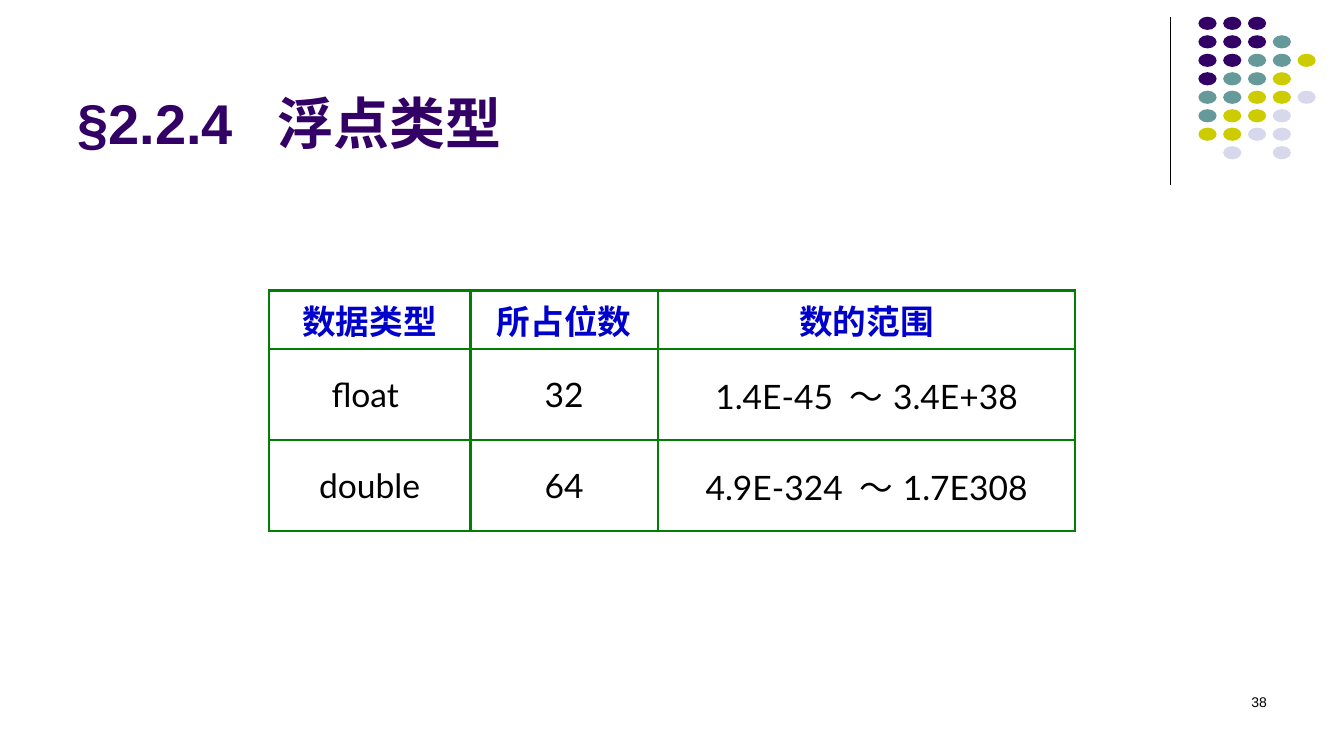
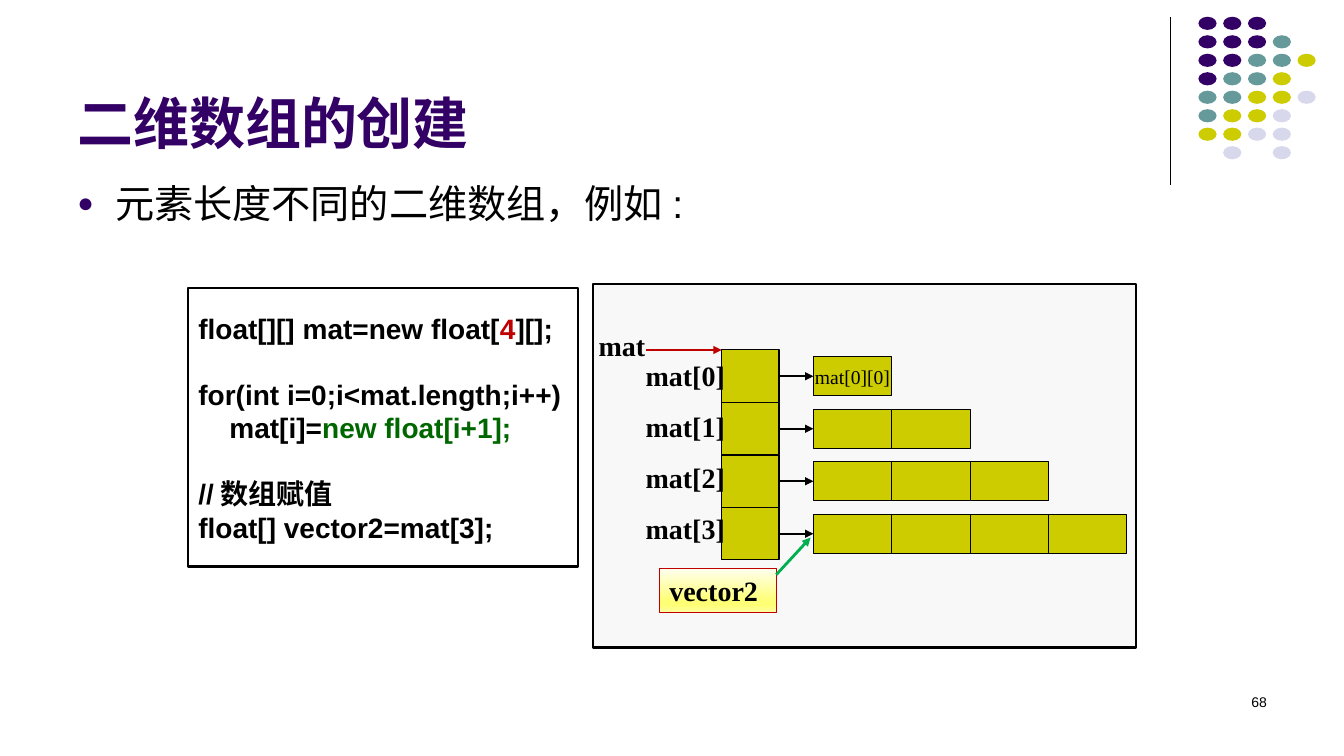
from copy import deepcopy
from dataclasses import dataclass, replace

from lxml.etree import SubElement
from pptx import Presentation
from pptx.dml.color import RGBColor
from pptx.enum.shapes import MSO_CONNECTOR, MSO_SHAPE
from pptx.enum.text import MSO_ANCHOR, MSO_AUTO_SIZE, PP_ALIGN
from pptx.oxml.ns import qn
from pptx.shapes.autoshape import Shape
from pptx.shapes.connector import Connector
from pptx.slide import Slide
from pptx.table import _Cell
from pptx.text.text import TextFrame, _Paragraph, _Run
from pptx.util import Pt

RECTANGLE = MSO_SHAPE.RECTANGLE
OVAL = MSO_SHAPE.OVAL
STRAIGHT = MSO_CONNECTOR.STRAIGHT
MIDDLE, BOTTOM = MSO_ANCHOR.MIDDLE, MSO_ANCHOR.BOTTOM
LEFT, CENTER, RIGHT = PP_ALIGN.LEFT, PP_ALIGN.CENTER, PP_ALIGN.RIGHT
NO_AUTOFIT = MSO_AUTO_SIZE.NONE

BLACK = RGBColor(0x00, 0x00, 0x00)
PURPLE = RGBColor(0x33, 0x00, 0x66)
TEAL = RGBColor(0x66, 0x99, 0x99)
OLIVE = RGBColor(0xCC, 0xCC, 0x00)
LAVENDER = RGBColor(0xD8, 0xD8, 0xEC)
HEADER_BLUE = RGBColor(0x00, 0x00, 0xCC)
GRID_GREEN = RGBColor(0x00, 0x80, 0x00)
CODE_GREEN = RGBColor(0x00, 0x66, 0x00)
ARROW_GREEN = RGBColor(0x00, 0xB0, 0x50)
RED = RGBColor(0xC0, 0x00, 0x00)
PANEL_GRAY = RGBColor(0xF8, 0xF8, 0xF8)

CJK_FONT = "Noto Sans CJK SC"
DOT_COLORS = {"P": PURPLE, "T": TEAL, "Y": OLIVE, "L": LAVENDER}
DOT_ROWS = ("PPP", "PPPT", "PPTTY", "PTTY", "TTYYL", "TYYL", "YYLL", " L L")
VECTOR_STOPS = (
    (0, RGBColor(0xFF, 0xFF, 0xF0)),
    (0.74, RGBColor(0xFF, 0xFF, 0x75)),
    (0.83, RGBColor(0xFF, 0xFF, 0x75)),
    (1, RGBColor(0xFF, 0xFF, 0xA3)),
)
TYPE_ROWS = (
    ("数据类型", "所占位数", "数的范围"),
    ("float ", "32", "1.4E-45 ～3.4E+38"),
    ("double", "64", "4.9E-324 ～1.7E308"),
)


@dataclass(frozen=True)
class Box:
    left: float
    top: float
    width: float
    height: float

    def lengths(self) -> tuple[Pt, Pt, Pt, Pt]:
        return Pt(self.left), Pt(self.top), Pt(self.width), Pt(self.height)


@dataclass(frozen=True)
class TextStyle:
    size: float
    font: str
    color: RGBColor = BLACK
    bold: bool = False


@dataclass(frozen=True)
class CodeLine:
    pieces: tuple[tuple[str, RGBColor], ...]
    gap: float = 0
    indent: float = 0


TITLE = TextStyle(40, "Arial", PURPLE, True)
BULLET = TextStyle(28, "Arial")
PAGE_NUMBER = TextStyle(10, "Arial")
CODE = TextStyle(20, "Arial", bold=True)
LABEL = TextStyle(20, "Times New Roman", bold=True)
ELEMENT = TextStyle(14, "Times New Roman")
TABLE_HEAD = TextStyle(24, "Lato", HEADER_BLUE, True)
TABLE_BODY = TextStyle(24, "Lato")

CODE_LINES = (
    CodeLine((("float[][] mat=new float[", BLACK), ("4", RED), ("][];", BLACK))),
    CodeLine((("for(int i=0;i<mat.length;i++)", BLACK),), gap=23),
    CodeLine((("mat[i]=", BLACK), ("new float[i+1];", CODE_GREEN)), indent=22.2),
    CodeLine((("//数组赋值", BLACK),), gap=23),
    CodeLine((("float[] vector2=mat[3];", BLACK),)),
)


def style_run(run: _Run, style: TextStyle) -> None:
    run.font.size = Pt(style.size)
    run.font.name = style.font
    run.font.bold = style.bold
    run.font.color.rgb = style.color
    SubElement(run._r.get_or_add_rPr(), qn("a:ea")).set("typeface", CJK_FONT)


def write(frame: TextFrame, text: str, style: TextStyle, align: PP_ALIGN = LEFT) -> _Paragraph:
    frame.text = text
    paragraph = frame.paragraphs[0]
    paragraph.alignment = align
    for run in paragraph.runs:
        style_run(run, style)
    return paragraph


def place(shape: Shape, box: Box) -> None:
    shape.left, shape.top, shape.width, shape.height = box.lengths()


def add_label(slide: Slide, box: Box, text: str, style: TextStyle, align: PP_ALIGN = LEFT) -> None:
    frame = slide.shapes.add_textbox(*box.lengths()).text_frame
    frame.word_wrap = True
    write(frame, text, style, align)


def add_block(
    slide: Slide,
    box: Box,
    fill: RGBColor | None = None,
    line: RGBColor | None = BLACK,
    weight: float = 0.75,
    kind: MSO_SHAPE = RECTANGLE,
) -> Shape:
    block = slide.shapes.add_shape(kind, *box.lengths())
    block.shadow.inherit = False
    if fill is None:
        block.fill.background()
    else:
        block.fill.solid()
        block.fill.fore_color.rgb = fill
    if line is None:
        block.line.fill.background()
    else:
        block.line.color.rgb = line
        block.line.width = Pt(weight)
    return block


def add_line(
    slide: Slide,
    start: tuple[float, float],
    end: tuple[float, float],
    color: RGBColor = BLACK,
    weight: float = 1.5,
    arrow: bool = True,
) -> Connector:
    line = slide.shapes.add_connector(STRAIGHT, *map(Pt, start + end))
    line.line.color.rgb = color
    line.line.width = Pt(weight)
    properties = line.element.spPr
    if arrow:
        SubElement(properties.find(qn("a:ln")), qn("a:tailEnd")).set("type", "triangle")
    SubElement(properties, qn("a:effectLst"))
    return line


def add_base_slide(deck: Presentation, layout: int, heading: str, page: str) -> Slide:
    slide = deck.slides.add_slide(deck.slide_layouts[layout])
    add_line(slide, (836, 12), (836, 132), weight=0.75, arrow=False)
    for row, dots in enumerate(DOT_ROWS):
        for column, dot in enumerate(dots):
            if dot in DOT_COLORS:
                box = Box(856 + 17.7 * column, 12 + 13.2 * row, 13, 9.4)
                add_block(slide, box, DOT_COLORS[dot], None, kind=OVAL)
    title = slide.shapes.title
    place(title, Box(48, 9.5, 792, 102))
    frame = title.text_frame
    frame.auto_size = NO_AUTOFIT
    frame.vertical_anchor = BOTTOM
    frame.margin_bottom = Pt(0)
    write(frame, heading, TITLE)
    add_label(slide, Box(688, 492, 224, 36), page, PAGE_NUMBER, RIGHT)
    return slide


def format_cell(cell: _Cell, text: str, style: TextStyle) -> None:
    write(cell.text_frame, text, style, CENTER)
    cell.vertical_anchor = MIDDLE
    properties = cell._tc.get_or_add_tcPr()
    for side in ("a:lnL", "a:lnR", "a:lnT", "a:lnB"):
        border = SubElement(properties, qn(side))
        border.set("w", str(Pt(2)))
        solid = SubElement(border, qn("a:solidFill"))
        SubElement(solid, qn("a:srgbClr")).set("val", str(GRID_GREEN))
    cell.fill.background()


def add_type_table(slide: Slide) -> None:
    box = Box(192, 207.5, 578, 172)
    table = slide.shapes.add_table(3, 3, *box.lengths()).table
    table.first_row = False
    table.horz_banding = False
    for column, width in zip(table.columns, (144, 134, 298)):
        column.width = Pt(width)
    for row, height in zip(table.rows, (42, 65, 65)):
        row.height = Pt(height)
    for row, texts in enumerate(TYPE_ROWS):
        for column, text in enumerate(texts):
            format_cell(table.cell(row, column), text, TABLE_BODY if row else TABLE_HEAD)


def add_bullet(slide: Slide, text: str) -> None:
    body = slide.placeholders[1]
    place(body, Box(48, 128, 864, 354))
    body.text_frame.auto_size = NO_AUTOFIT
    paragraph = write(body.text_frame, text, BULLET)
    paragraph.line_spacing = 0.9
    paragraph.space_before = Pt(0)
    properties = paragraph._p.get_or_add_pPr()
    properties.set("marL", str(Pt(27)))
    properties.set("indent", str(Pt(-27)))
    color = SubElement(properties, qn("a:buClr"))
    SubElement(color, qn("a:srgbClr")).set("val", str(PURPLE))
    SubElement(properties, qn("a:buSzPct")).set("val", "70000")
    SubElement(properties, qn("a:buFont")).set("typeface", "Arial")
    SubElement(properties, qn("a:buChar")).set("char", "●")


def add_code(slide: Slide) -> None:
    frame = add_block(slide, Box(134.6, 206, 278, 198.7), weight=1.5).text_frame
    frame.word_wrap = True
    frame.vertical_anchor = MIDDLE
    for number, code_line in enumerate(CODE_LINES):
        paragraph = frame.add_paragraph() if number else frame.paragraphs[0]
        paragraph.alignment = LEFT
        paragraph.space_before = Pt(code_line.gap)
        paragraph._p.get_or_add_pPr().set("marL", str(Pt(code_line.indent)))
        for text, color in code_line.pieces:
            run = paragraph.add_run()
            run.text = text
            style_run(run, replace(CODE, color=color))


def add_vector(slide: Slide) -> None:
    vector = add_block(slide, Box(471, 406, 83.5, 31.7), OLIVE, RED)
    vector.fill.gradient()
    vector.fill.gradient_angle = 270
    stops = vector.element.spPr.find(qn("a:gradFill")).find(qn("a:gsLst"))
    for _ in VECTOR_STOPS[2:]:
        stops.append(deepcopy(stops[0]))
    for stop, (position, color) in zip(vector.fill.gradient_stops, VECTOR_STOPS):
        stop.position = position
        stop.color.rgb = color
    write(vector.text_frame, "vector2", LABEL)


def add_array_diagram(slide: Slide) -> None:
    add_block(slide, Box(423.4, 203, 388, 259.5), PANEL_GRAY, weight=1.5)
    column_left, column_top, column_width, pitch = 515.5, 250, 41, 37.5
    row_left, cell_width, cell_height = 581, 56, 28
    add_label(slide, Box(420.5, 231, 52.5, 31.7), "mat", LABEL)
    for index in range(4):
        top = column_top + pitch * index
        middle = top + pitch / 2
        reference = add_block(slide, Box(column_left, top, column_width, pitch), OLIVE)
        cells = [
            add_block(
                slide,
                Box(row_left + cell_width * n, middle - cell_height / 2, cell_width, cell_height),
                OLIVE,
            )
            for n in range(index + 1)
        ]
        if index == 0:
            frame = cells[0].text_frame
            frame.margin_left = frame.margin_right = Pt(0)
            frame.word_wrap = False
            write(frame, "mat[0][0]", ELEMENT, CENTER)
        pointer = add_line(slide, (column_left + column_width, middle), (row_left, middle))
        pointer.begin_connect(reference, 3)
        pointer.end_connect(cells[0], 1)
        add_label(slide, Box(454, 252.7 + 36.4 * index, 73, 31.7), f"mat[{index}]", LABEL)
    add_vector(slide)
    add_line(slide, (461.5, column_top), (column_left, column_top), RED)
    add_line(slide, (554.5, 410.5), (579, 384), ARROW_GREEN, 2)


def main() -> None:
    deck = Presentation()
    deck.slide_width, deck.slide_height = Pt(960), Pt(540)
    add_type_table(add_base_slide(deck, 5, "§2.2.4  浮点类型", "38"))
    arrays = add_base_slide(deck, 1, "二维数组的创建", "68")
    add_bullet(arrays, "元素长度不同的二维数组，例如:")
    add_code(arrays)
    add_array_diagram(arrays)
    deck.save("out.pptx")


if __name__ == "__main__":
    main()
